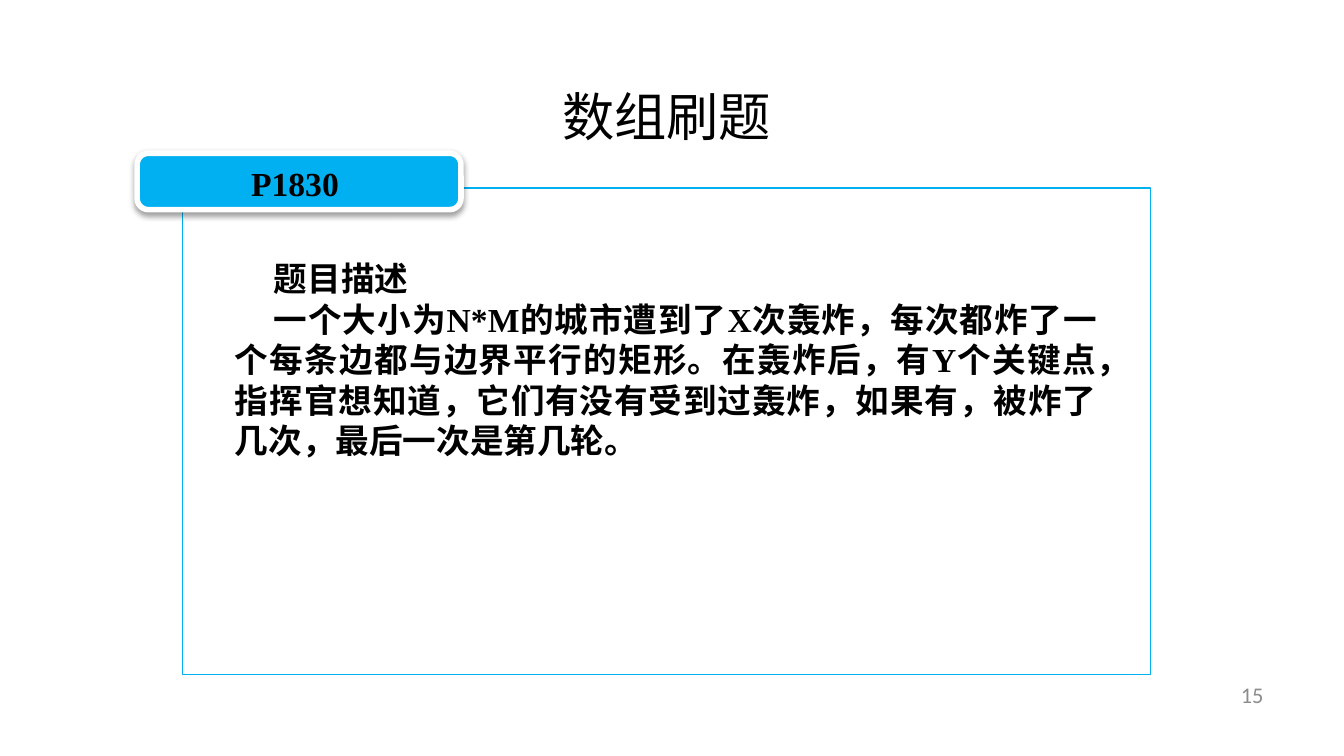
from lxml import etree
from pptx import Presentation
from pptx.dml.color import RGBColor
from pptx.enum import shapes, text
from pptx.oxml import ns
from pptx.util import Inches, Pt

COLORS = {"black": "000000", "white": "FFFFFF", "blue": "00B0F0", "grey": "8C8C8C"}
CJK_FONT = "Noto Sans CJK SC"
LATIN_FONT = "Times New Roman"

TITLE = "数组刷题"
LABEL = "P1830"
DESCRIPTION = [
    "题目描述",
    "一个大小为N*M的城市遭到了X次轰炸，每次都炸了一个每条边都与边界平行的矩形。"
    "在轰炸后，有Y个关键点，指挥官想知道，它们有没有受到过轰炸，如果有，"
    "被炸了几次，最后一次是第几轮。",
]
PAGE_NUMBER = "15"


def color(name):
    return RGBColor.from_string(COLORS[name])


def add_child(parent, tag, **attributes):
    child = etree.SubElement(parent, ns.qn(tag))
    for key, value in attributes.items():
        child.set(key, str(value))
    return child


def add_panel(page, kind, place, fill, line, width):
    panel = page.shapes.add_shape(kind, *map(Inches, place))
    panel.shadow.inherit = False
    panel.fill.solid()
    panel.fill.fore_color.rgb = color(fill)
    panel.line.color.rgb = color(line)
    panel.line.width = Pt(width)
    return panel


def add_text(page, place, lines, size, align, font=LATIN_FONT, bold=False,
             ink="black", spacing=None, indent=0, anchor=text.MSO_ANCHOR.TOP):
    box = page.shapes.add_textbox(*map(Inches, place))
    frame = box.text_frame
    frame.word_wrap = True
    frame.vertical_anchor = anchor
    frame.text = "\n".join(lines)
    for para in frame.paragraphs:
        para.alignment = align
        para.font.size = Pt(size)
        para.font.bold = bold
        para.font.name = font
        para.font.color.rgb = color(ink)
        if spacing:
            para.line_spacing = Pt(spacing)
        if indent:
            para._p.get_or_add_pPr().set("indent", str(Inches(indent)))
        for span in para.runs:  # East Asian typeface has no public setter
            add_child(span._r.get_or_add_rPr(), "a:ea", typeface=CJK_FONT)


deck = Presentation()
deck.slide_width = Inches(10)
deck.slide_height = deck.slide_width * 9 // 16
page = deck.slides.add_slide(deck.slide_layouts[6])

add_text(page, (7.17, 5.02, 2.33, 0.3), [PAGE_NUMBER], 12, text.PP_ALIGN.RIGHT,
         font="Calibri", ink="grey", anchor=text.MSO_ANCHOR.MIDDLE)
add_text(page, (3.31, 0.42, 3.3, 0.74), [TITLE], 28, text.PP_ALIGN.CENTER,
         font=CJK_FONT, spacing=45)

frame_panel = add_panel(page, shapes.MSO_SHAPE.RECTANGLE, (1.36, 1.4, 7.2, 3.62),
                        "white", "blue", 0.75)
frame_fill = frame_panel._element.spPr.find(ns.qn("a:solidFill"))
add_child(frame_fill[0], "a:alpha", val=90000)

label_panel = add_panel(page, shapes.MSO_SHAPE.ROUNDED_RECTANGLE,
                        (1.02, 1.14, 2.41, 0.42), "blue", "white", 3)
label_panel.adjustments[0] = 0.2
effects = label_panel._element.spPr.find(ns.qn("a:effectLst"))
shadow = add_child(effects, "a:outerShdw", blurRad=Pt(3.1), dist=Pt(1.6),
                   dir=90 * 60000, rotWithShape=0)
shade = add_child(shadow, "a:srgbClr", val=COLORS["black"])
add_child(shade, "a:alpha", val=38000)

add_text(page, (1.04, 1.16, 2.31, 0.4), [LABEL], 18, text.PP_ALIGN.CENTER, bold=True)
add_text(page, (1.65, 1.87, 6.61, 1.92), DESCRIPTION, 18, text.PP_ALIGN.JUSTIFY,
         bold=True, spacing=21.7, indent=0.29)

deck.save("out.pptx")
